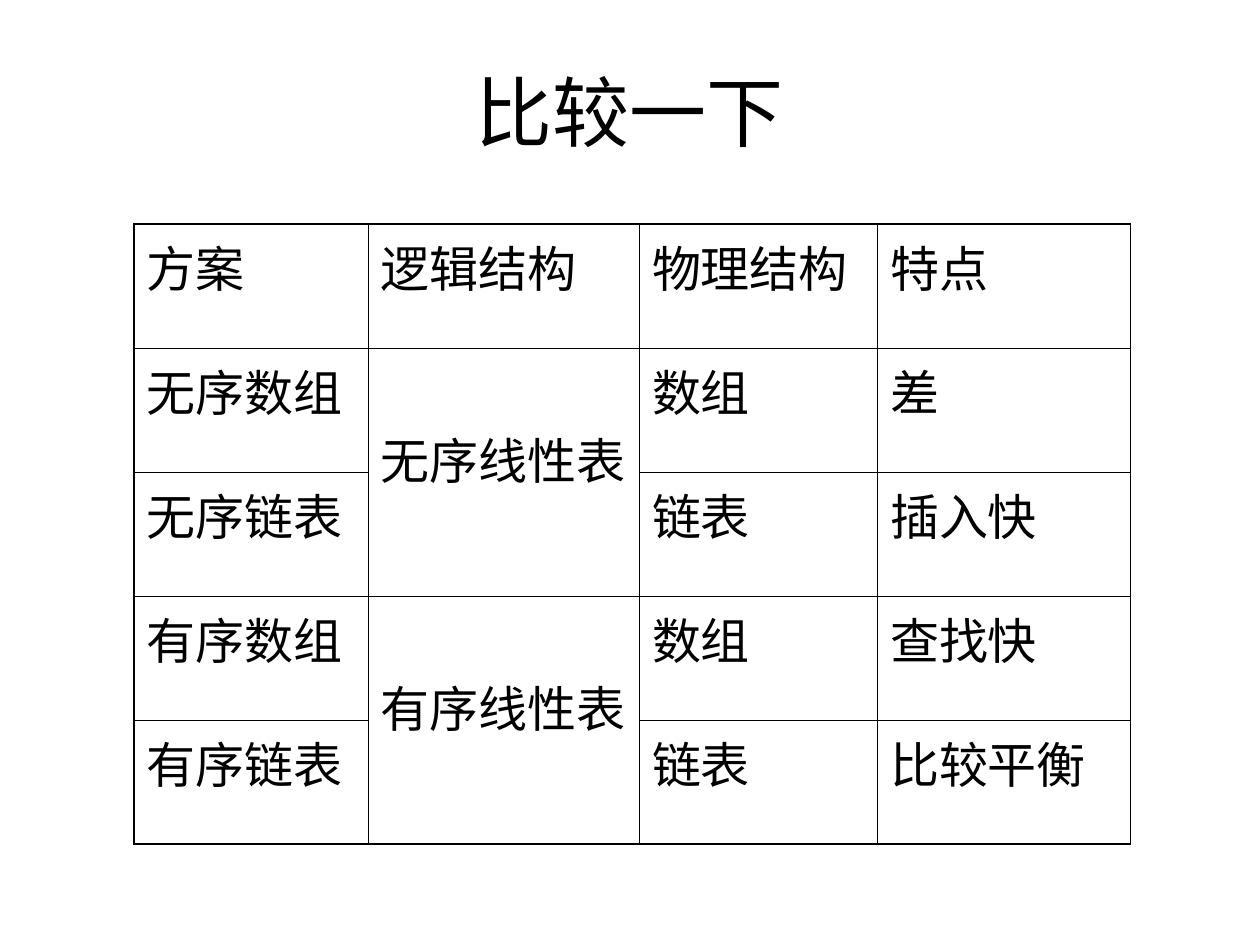
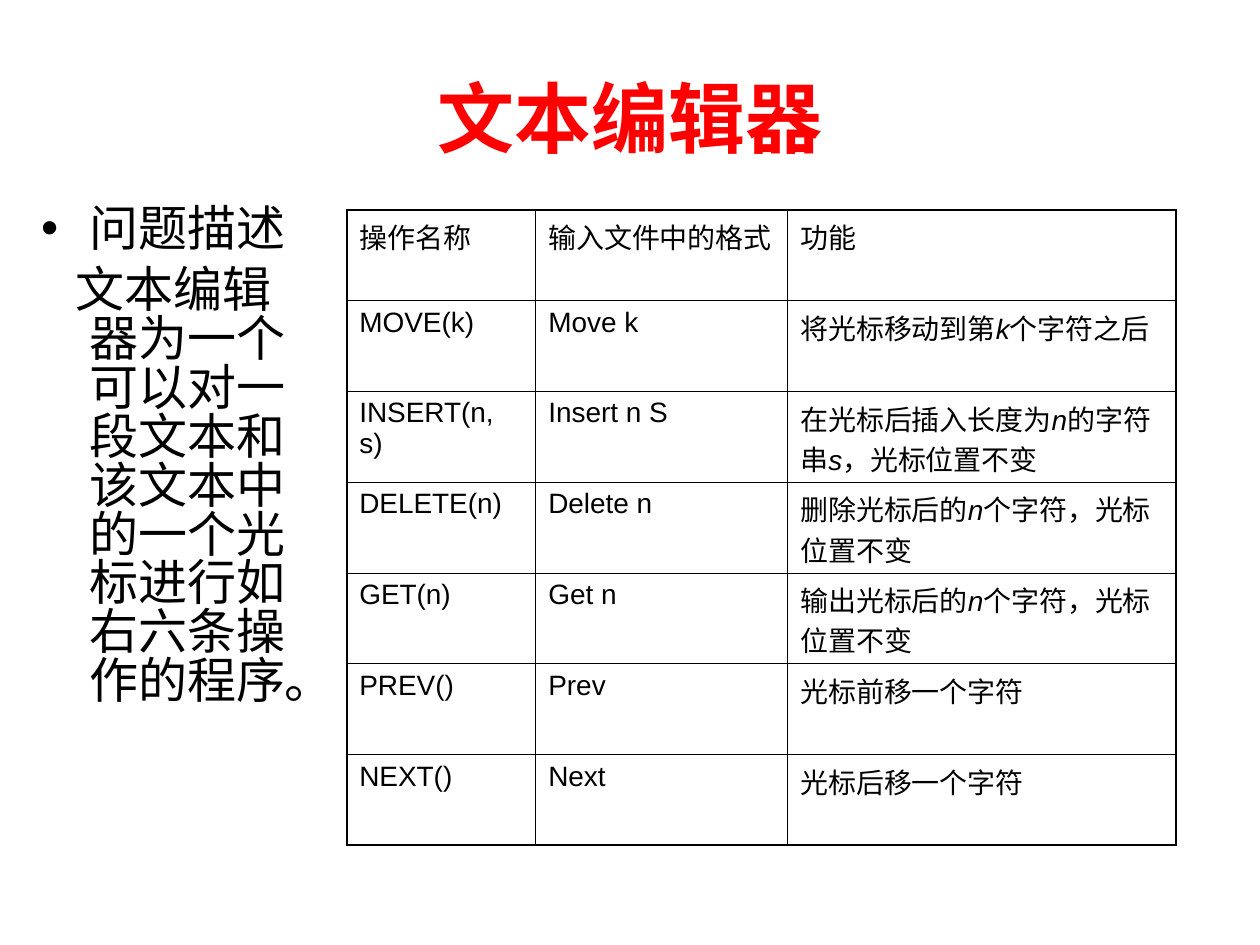
"""Build two slides on list structures and a text editor exercise."""

from lxml import etree
from pptx import Presentation
from pptx.dml.color import RGBColor
from pptx.enum.lang import MSO_LANGUAGE_ID
from pptx.enum.text import MSO_ANCHOR, PP_ALIGN
from pptx.oxml.ns import qn
from pptx.util import Cm, Pt

CENTER = PP_ALIGN.CENTER
MIDDLE = MSO_ANCHOR.MIDDLE
CHINESE = MSO_LANGUAGE_ID.SIMPLIFIED_CHINESE
LATIN_FONT = "Arial"
CJK_FONT = "Noto Sans CJK JP"
BLACK, WHITE, RED = "000000", "FFFFFF", "FF0000"
THIN, THICK = Pt(0.45), Pt(1.08)


def add_run(paragraph, text, size, font=LATIN_FONT, color=BLACK, bold=False, italic=False):
    run = paragraph.add_run()
    run.text = text
    run.font.size = Pt(size)
    run.font.name = font
    run.font.bold = bold
    run.font.italic = italic
    run.font.language_id = CHINESE
    run.font.color.rgb = RGBColor.from_string(color)
    etree.SubElement(run.font._element, qn("a:ea"), typeface=CJK_FONT)


def add_table(slide, left, top, widths, row_height, rows, size, merges=()):
    """Draw a grid with a thick frame; underscores in a text enclose italics."""
    last_row, last_column = len(rows) - 1, len(widths) - 1
    table = slide.shapes.add_table(
        len(rows), len(widths), Cm(left), Cm(top), Cm(sum(widths)), Cm(row_height * len(rows))
    ).table
    table.first_row = False
    table.horz_banding = False
    for column, width in zip(table.columns, widths):
        column.width = Cm(width)
    for row in table.rows:
        row.height = Cm(row_height)
    for row, column in merges:
        table.cell(row, column).merge(table.cell(row + 1, column))
        table.cell(row, column).margin_top = Cm(1.5)
    for row, texts in enumerate(rows):
        for column, text in enumerate(texts):
            cell = table.cell(row, column)
            if not cell.is_spanned:
                outer_edges = {
                    "L": column == 0,
                    "R": column == last_column,
                    "T": row == 0,
                    "B": row + cell.span_height - 1 == last_row,
                }
                properties = cell._tc.get_or_add_tcPr()
                for side, outer in outer_edges.items():
                    width = THICK if outer else THIN
                    line = etree.SubElement(properties, qn(f"a:ln{side}"), w=str(width))
                    fill = etree.SubElement(line, qn("a:solidFill"))
                    etree.SubElement(fill, qn("a:srgbClr"), val=BLACK)
                paragraph = cell.text_frame.paragraphs[0]
                for index, part in enumerate(text.split("_")):
                    if part:
                        add_run(paragraph, part, size, italic=index % 2 == 1)
            cell.fill.solid()
            cell.fill.fore_color.rgb = RGBColor.from_string(WHITE)


presentation = Presentation()
presentation.slide_width = Cm(25.4)
presentation.slide_height = Cm(19.05)

titles = [
    ("比较一下", 0.84, 0.64, 23.72, LATIN_FONT, BLACK, False),
    ("文本编辑器", 1.27, 0.76, 22.86, CJK_FONT, RED, True),
]
slides = []
for text, left, top, width, font, color, bold in titles:
    slide = presentation.slides.add_slide(presentation.slide_layouts[6])
    frame = slide.shapes.add_textbox(Cm(left), Cm(top), Cm(width), Cm(3.18)).text_frame
    frame.word_wrap = True
    frame.vertical_anchor = MIDDLE
    frame.paragraphs[0].alignment = CENTER
    add_run(frame.paragraphs[0], text, 44, font, color, bold)
    slides.append(slide)
comparison_slide, editor_slide = slides

schemes = [
    ("方案", "逻辑结构", "物理结构", "特点"),
    ("无序数组", "无序线性表", "数组", "差"),
    ("无序链表", "", "链表", "插入快"),
    ("有序数组", "有序线性表", "数组", "查找快"),
    ("有序链表", "", "链表", "比较平衡"),
]
add_table(
    comparison_slide, 2.7, 4.52, [4.72, 5.47, 4.8, 5.1], 2.5, schemes, 28, [(1, 1), (3, 1)]
)

description = editor_slide.shapes.add_textbox(Cm(0.58), Cm(3.96), Cm(5.92), Cm(13.54)).text_frame
description.word_wrap = True
description.margin_top = Cm(0.23)
description_lines = [
    ("问题描述", -0.97, "•"),
    ("文本编辑器为一个可以对一段文本和该文本中的一个光标进行如右六条操作的程序。", -0.28, None),
]
for index, (text, indent, bullet) in enumerate(description_lines):
    paragraph = description.add_paragraph() if index else description.paragraphs[0]
    properties = paragraph._p.get_or_add_pPr()
    properties.set("marL", str(Cm(0.97)))
    properties.set("indent", str(Cm(indent)))
    if bullet:
        etree.SubElement(properties, qn("a:buFont"), typeface=LATIN_FONT)
        etree.SubElement(properties, qn("a:buChar"), char=bullet)
    paragraph.line_spacing = 0.83
    paragraph.space_before = Pt(7 if index else 0)
    add_run(paragraph, text, 28, CJK_FONT)

operations = [
    ("操作名称", "输入文件中的格式", "功能"),
    ("MOVE(k)", "Move k", "将光标移动到第_k_个字符之后"),
    ("INSERT(n, s)", "Insert n S", "在光标后插入长度为_n_的字符串_s_，光标位置不变"),
    ("DELETE(n)", "Delete n", "删除光标后的_n_个字符，光标位置不变"),
    ("GET(n)", "Get n", "输出光标后的_n_个字符，光标位置不变"),
    ("PREV()", "Prev", "光标前移一个字符"),
    ("NEXT()", "Next", "光标后移一个字符"),
]
add_table(editor_slide, 6.99, 4.23, [3.81, 5.08, 7.83], 1.83, operations, 16)

presentation.save("out.pptx")
